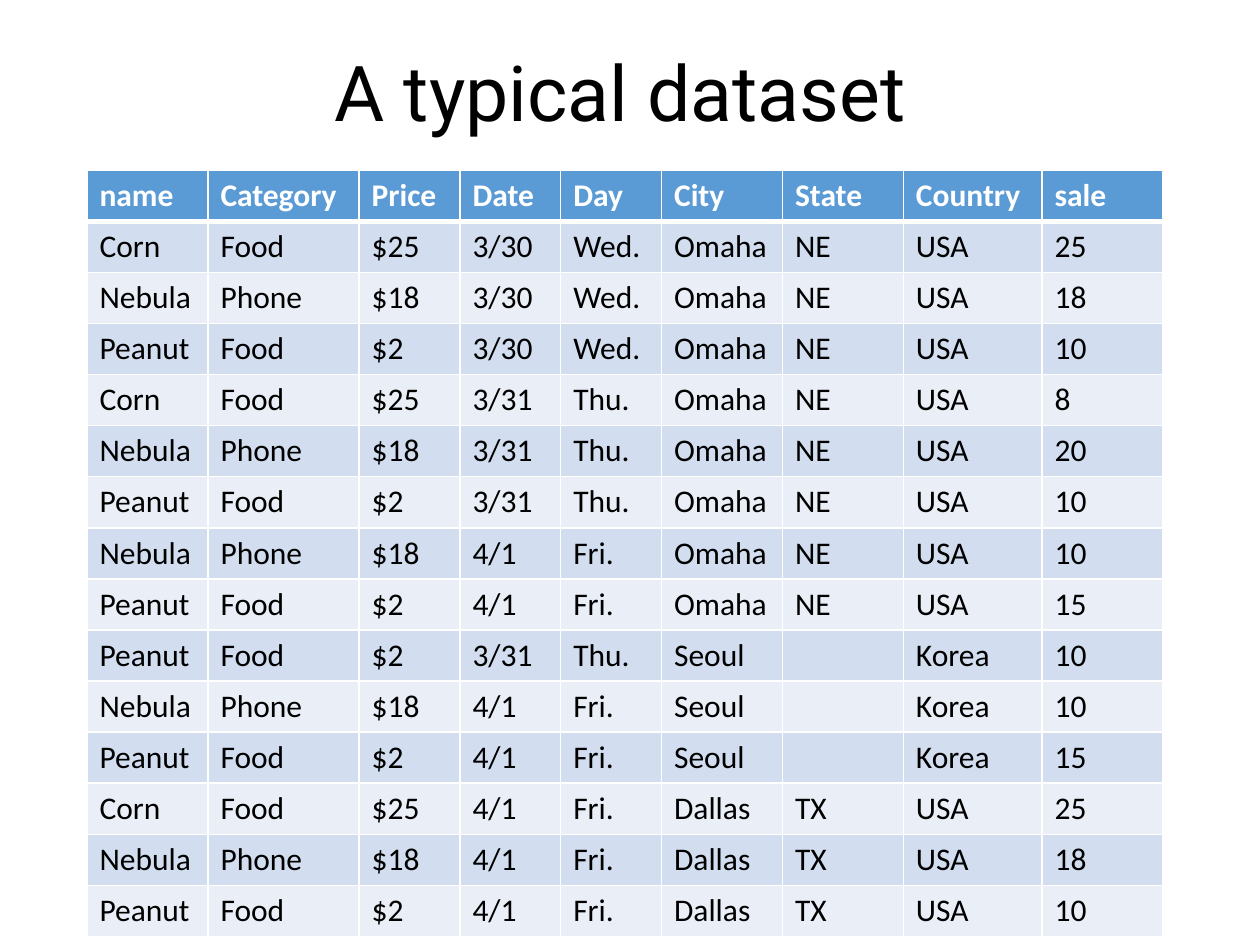
import dataclasses

import lxml.etree
import pptx
import pptx.dml.color
import pptx.enum.text
import pptx.oxml.ns
import pptx.table
import pptx.util

WHITE = pptx.dml.color.RGBColor(0xFF, 0xFF, 0xFF)
BLACK = pptx.dml.color.RGBColor(0x00, 0x00, 0x00)
HEADER_BLUE = pptx.dml.color.RGBColor(0x5B, 0x9B, 0xD5)
BANDS = (
    pptx.dml.color.RGBColor(0xD2, 0xDE, 0xEF),
    pptx.dml.color.RGBColor(0xEA, 0xEF, 0xF7),
)
SLIDE_W = pptx.util.Inches(10)
SLIDE_H = pptx.util.Inches(7.5)


@dataclasses.dataclass(frozen=True)
class Column:
    heading: str
    share: float


@dataclasses.dataclass(frozen=True)
class Sale:
    name: str
    date: str
    city: str
    sold: int

    def values(self) -> tuple[str, ...]:
        return (self.name, *PRODUCTS[self.name], self.date, DAYS[self.date],
                self.city, *PLACES[self.city], str(self.sold))


COLUMNS = (
    Column("name", 0.096), Column("Category", 0.12), Column("Price", 0.08),
    Column("Date", 0.08), Column("Day", 0.08), Column("City", 0.096),
    Column("State", 0.096), Column("Country", 0.11), Column("sale", 0.096),
)
PRODUCTS = {"Corn": ("Food", "$25"), "Nebula": ("Phone", "$18"), "Peanut": ("Food", "$2")}
DAYS = {"3/30": "Wed.", "3/31": "Thu.", "4/1": "Fri."}
PLACES = {"Omaha": ("NE", "USA"), "Seoul": ("", "Korea"), "Dallas": ("TX", "USA")}
SALES = (
    Sale("Corn", "3/30", "Omaha", 25),
    Sale("Nebula", "3/30", "Omaha", 18),
    Sale("Peanut", "3/30", "Omaha", 10),
    Sale("Corn", "3/31", "Omaha", 8),
    Sale("Nebula", "3/31", "Omaha", 20),
    Sale("Peanut", "3/31", "Omaha", 10),
    Sale("Nebula", "4/1", "Omaha", 10),
    Sale("Peanut", "4/1", "Omaha", 15),
    Sale("Peanut", "3/31", "Seoul", 10),
    Sale("Nebula", "4/1", "Seoul", 10),
    Sale("Peanut", "4/1", "Seoul", 15),
    Sale("Corn", "4/1", "Dallas", 25),
    Sale("Nebula", "4/1", "Dallas", 18),
    Sale("Peanut", "4/1", "Dallas", 10),
)


def across(share: float) -> int:
    return round(SLIDE_W * share)


def down(share: float) -> int:
    return round(SLIDE_H * share)


def add_run(p, text: str, font: str, size: float,
            color: pptx.dml.color.RGBColor, bold: bool = False) -> None:
    r = p.add_run()
    r.text = text
    r.font.name = font
    r.font.size = pptx.util.Pt(size)
    r.font.bold = bold
    r.font.color.rgb = color


def set_borders(cell: pptx.table._Cell, top: float, bottom: float) -> None:
    tc_pr = cell._tc.get_or_add_tcPr()
    for side, width in (("L", 1), ("R", 1), ("T", top), ("B", bottom)):
        ln = lxml.etree.SubElement(tc_pr, pptx.oxml.ns.qn(f"a:ln{side}"),
                                   w=str(pptx.util.Pt(width)))
        fill = lxml.etree.SubElement(ln, pptx.oxml.ns.qn("a:solidFill"))
        lxml.etree.SubElement(fill, pptx.oxml.ns.qn("a:srgbClr"), val=str(WHITE))


def draw_cell(cell: pptx.table._Cell, text: str, row: int) -> None:
    header = row == 0
    set_borders(cell, top=3 if row == 1 else 1, bottom=3 if header else 1)
    cell.fill.solid()
    cell.fill.fore_color.rgb = HEADER_BLUE if header else BANDS[(row - 1) % 2]
    p = cell.text_frame.paragraphs[0]
    if text:
        add_run(p, text, "Calibri", 18, WHITE if header else BLACK, header)
    else:
        p.font.size = pptx.util.Pt(18)


def draw_title(slide, text: str) -> None:
    sp = slide.shapes.title
    sp.left, sp.top = across(0.069), down(0.024)
    sp.width, sp.height = across(0.862), down(0.156)
    tf = sp.text_frame
    tf.word_wrap = True
    tf.auto_size = pptx.enum.text.MSO_AUTO_SIZE.NONE
    tf.vertical_anchor = pptx.enum.text.MSO_ANCHOR.MIDDLE
    p = tf.paragraphs[0]
    p.alignment = pptx.enum.text.PP_ALIGN.CENTER
    p.line_spacing = 0.9
    add_run(p, text, "Roboto", 44, BLACK)


def draw_table(slide) -> None:
    rows = [tuple(c.heading for c in COLUMNS), *(s.values() for s in SALES)]
    frame = slide.shapes.add_table(len(rows), len(COLUMNS), across(0.069), down(0.18),
                                   across(0.853), down(0.8))
    table = frame.table
    for column, spec_column in zip(table.columns, COLUMNS):
        column.width = across(spec_column.share)
    for i, values in enumerate(rows):
        table.rows[i].height = down(0.04)
        for j, text in enumerate(values):
            draw_cell(table.cell(i, j), text, i)
    frame.height = down(0.8)


def main() -> None:
    prs = pptx.Presentation()
    prs.slide_width, prs.slide_height = SLIDE_W, SLIDE_H
    slide = prs.slides.add_slide(prs.slide_layouts[5])
    draw_title(slide, "A typical dataset ")
    draw_table(slide)
    prs.save("out.pptx")


if __name__ == "__main__":
    main()
